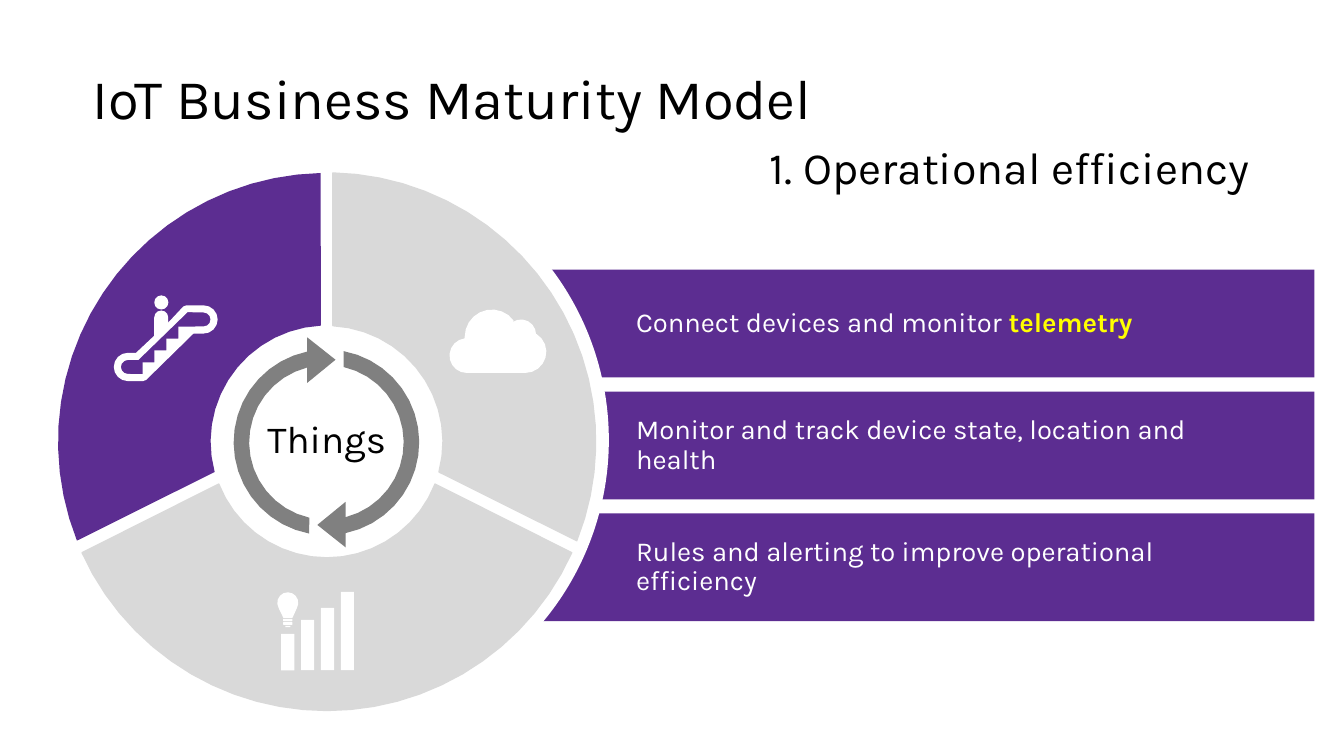
"""Build the IoT Business Maturity Model slide."""
from math import ceil, cos, degrees, radians, sin, sqrt

from pptx import Presentation
from pptx.dml.color import RGBColor
from pptx.enum.shapes import MSO_SHAPE as Preset
from pptx.enum.text import MSO_ANCHOR as Anchor, MSO_AUTO_SIZE as AutoSize, PP_ALIGN as Align
from pptx.util import Pt

COLORS = {
    "purple": "5C2D91",
    "light": "D9D9D9",
    "gray": "808080",
    "white": "FFFFFF",
    "black": "000000",
    "yellow": "FFFF00",
}
FONT = "Karla"
UNITS = 100


def arc(x, y, radius, start, end):
    """Return just enough points for a smooth arc, with angles in clockwise degrees."""
    steps = ceil(abs(end - start) / degrees(2 * sqrt(0.4 / radius)))
    angles = [radians(start + (end - start) * step / steps) for step in range(steps + 1)]
    return [(x + radius * cos(angle), y + radius * sin(angle)) for angle in angles]


def paint(shape, color, line=None):
    """Give a shape a flat fill and an optional one-point line."""
    shape.shadow.inherit = False
    shape.fill.solid()
    shape.fill.fore_color.rgb = RGBColor.from_string(COLORS[color])
    if line:
        shape.line.color.rgb = RGBColor.from_string(COLORS[line])
        shape.line.width = Pt(1)
    else:
        shape.line.fill.background()


presentation = Presentation()
presentation.slide_width, presentation.slide_height = Pt(960), Pt(540)
slide = presentation.slides.add_slide(presentation.slide_layouts[5])
shapes = slide.shapes

title = shapes.title
title.left, title.top, title.width, title.height = Pt(59), Pt(47.5), Pt(841), Pt(41)
title_frame = title.text_frame
title_frame.text = "IoT Business Maturity Model\n1. Operational efficiency"
title_frame.auto_size = AutoSize.NONE
title_frame.vertical_anchor = Anchor.TOP
heading, subheading = title_frame.paragraphs
heading.alignment, subheading.alignment = Align.LEFT, Align.RIGHT
heading.space_before, subheading.space_before = Pt(0), Pt(10)
styled = [(heading, 40, "black"), (subheading, 32, "black")]

panel_texts = [
    ("Connect devices and monitor ", "telemetry"),
    ("Monitor and track device state, location and health", ""),
    ("Rules and alerting to improve operational efficiency", ""),
]
for row, (text, highlight) in enumerate(panel_texts):
    panel = shapes.add_shape(Preset.RECTANGLE, Pt(376.6), Pt(192.7 + 87 * row), Pt(562.3), Pt(77))
    paint(panel, "purple")
    frame = panel.text_frame
    frame.word_wrap = True
    frame.vertical_anchor = Anchor.MIDDLE
    frame.margin_left, frame.margin_right = Pt(77.8), Pt(35.3)
    paragraph = frame.paragraphs[0]
    paragraph.text = text
    paragraph.alignment = Align.LEFT
    if highlight:
        paragraph.add_run().text = highlight
    styled.append((paragraph, 19.6, "white"))

disc = shapes.add_shape(Preset.OVAL, Pt(29.5), Pt(111.6), Pt(405.4), Pt(405.4))
paint(disc, "white")

outlines = []
sectors = [
    ("purple", None, 158.4, 268.7, 164.9, 267),
    ("light", "light", 271.3, 381.6, 273, 375.1),
    ("light", "light", 24.4, 155.6, 21.4, 158.6),
]
for color, line, outer_start, outer_end, inner_start, inner_end in sectors:
    sector = arc(233.5, 315.5, 192, outer_start, outer_end)
    sector += arc(233.5, 315.5, 83, inner_end, inner_start)
    outlines.append(([sector], color, line))

for turn, sign in ((0, 1), (180, -1)):
    arrow = arc(233.2, 316, 66.3, 100.7 + turn, 258 + turn)
    head = [(-13.7, -75), (6.5, -59), (-13.7, -42.5)]
    arrow += [(233.2 + sign * x, 316 + sign * y) for x, y in head]
    arrow += arc(233.2, 316, 55.2, 255.6 + turn, 102.8 + turn)
    outlines.append(([arrow], "gray", None))

cloud = arc(333.5, 254, 12.4, 90, 263) + arc(351.4, 240.5, 19.4, 180, 323)
cloud += arc(372.2, 239, 10.8, 237, 360) + arc(375.2, 251.3, 15.1, 302, 450)
bulb = arc(205.6, 430.6, 7.5, 150, 390) + [(208.9, 441.4), (202.5, 441.4)]

escalator = arc(145.4, 228.2, 10.1, -90, 90)
escalator += [(138.2, 238.3), (104.4, 271.4), (102.2, 272.2)]
escalator += arc(91.4, 262.1, 10.1, 90, 270)
escalator += [(97.2, 252), (110.2, 239.8)] + arc(115.2, 226.8, 5, 180, 360)
escalator += [(120.2, 230.4), (131, 218.9), (133.2, 218.1)]
stairs = arc(145.4, 228.2, 5, -90, 90)
for step in range(4):
    x, y = 127.4 - 8.5 * step, 233.3 + 8.5 * step
    stairs += [(x, y), (x, y + 8.5)]
stairs += arc(91.4, 262.1, 5, 90, 270) + [(99, 257), (134, 223)]
outlines += [([contour], "white", None) for contour in (cloud, bulb)]
outlines.append(([escalator, stairs], "white", None))

for contours, color, line in outlines:
    scaled = [[(x * UNITS, y * UNITS) for x, y in contour] for contour in contours]
    builder = shapes.build_freeform(*scaled[0][0], scale=Pt(1) / UNITS)
    builder.add_line_segments(scaled[0][1:])
    for contour in scaled[1:]:
        builder.move_to(*contour[0])
        builder.add_line_segments(contour[1:])
    paint(builder.convert_to_shape(), color, line)

icon_parts = [
    (Preset.OVAL, 110.2, 211, 10.1, 10.1),
    (Preset.ROUNDED_RECTANGLE, 202.3, 442.1, 6.5, 1.5),
    (Preset.ROUNDED_RECTANGLE, 202.3, 444.2, 6.5, 2.2),
    (Preset.ROUNDED_RECTANGLE, 203.8, 447.1, 3.6, 0.8),
]
for column, height in enumerate((26, 36, 44.5, 56)):
    icon_parts.append((Preset.RECTANGLE, 200.9 + 14.2 * column, 478.8 - height, 9.4, height))
for preset, *box in icon_parts:
    paint(shapes.add_shape(preset, *[Pt(length) for length in box]), "white")

label = shapes.add_textbox(Pt(151.2), Pt(298.8), Pt(164.2), Pt(32.4))
label_frame = label.text_frame
label_frame.word_wrap = True
label_frame.vertical_anchor = Anchor.MIDDLE
label_frame.margin_left = label_frame.margin_right = Pt(14.4)
label_frame.margin_top = label_frame.margin_bottom = Pt(11.5)
label_frame.text = "Things"
label_frame.paragraphs[0].alignment = Align.CENTER
styled.append((label_frame.paragraphs[0], 27.4, "black"))

for paragraph, size, color in styled:
    paragraph.line_spacing = 0.9
    for run in paragraph.runs:
        highlighted = run.text == "telemetry"
        run.font.name = FONT
        run.font.size = Pt(size)
        run.font.bold = highlighted
        run.font.color.rgb = RGBColor.from_string(COLORS["yellow" if highlighted else color])

presentation.save("out.pptx")
